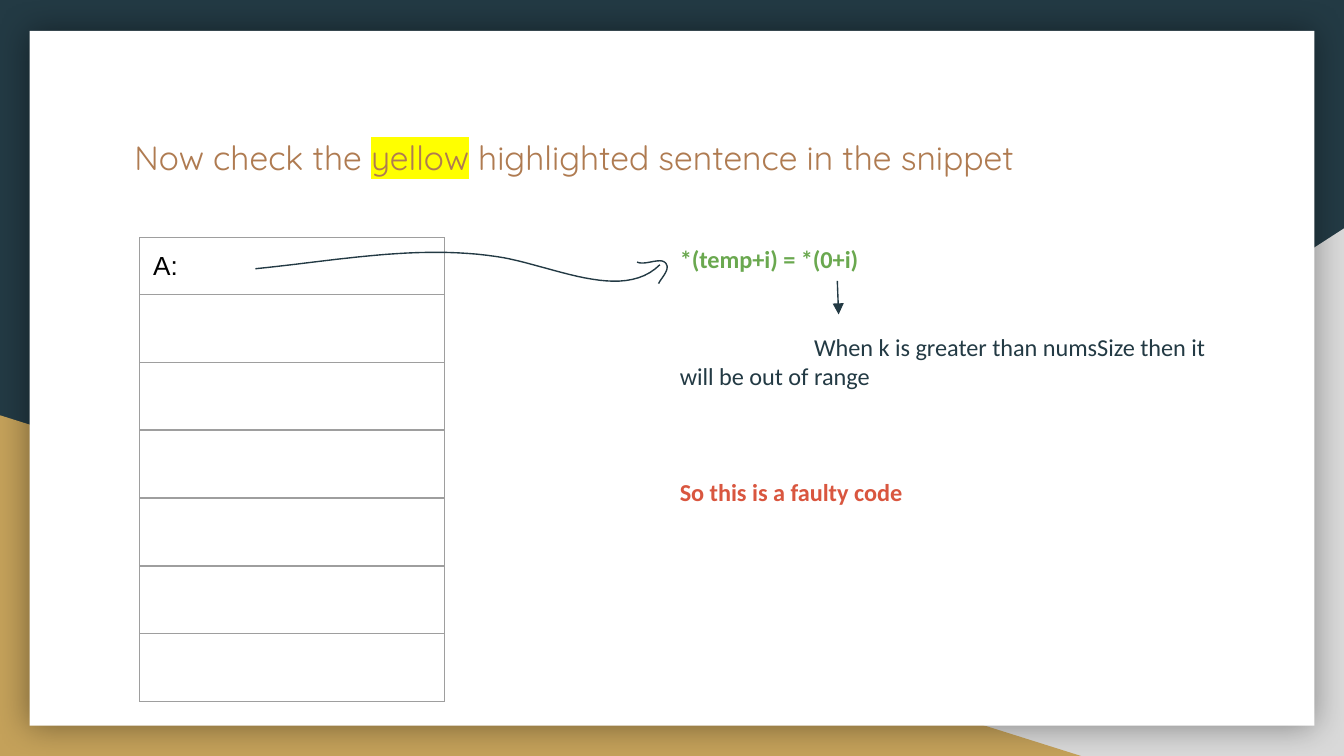
from dataclasses import dataclass

from lxml.etree import SubElement
from pptx import Presentation
from pptx.dml.color import RGBColor
from pptx.enum.shapes import MSO_CONNECTOR, MSO_SHAPE
from pptx.enum.text import MSO_ANCHOR, MSO_AUTO_SIZE, PP_ALIGN
from pptx.oxml import parse_xml
from pptx.oxml.ns import nsdecls, qn
from pptx.util import Inches, Pt

NAVY = RGBColor(0x23, 0x3A, 0x44)
GREY = RGBColor(0xD9, 0xD9, 0xD9)
GOLD = RGBColor(0xC4, 0xA1, 0x5A)
WHITE = RGBColor(0xFF, 0xFF, 0xFF)
BLACK = RGBColor(0, 0, 0)
BROWN = RGBColor(0xAF, 0x7B, 0x51)
GREEN = RGBColor(0x6A, 0xA8, 0x4F)
RED = RGBColor(0xD9, 0x56, 0x3F)
LINE_W = Pt(0.75)
INSET = Inches(0.1)
CURVE_STEPS = 24

Point = tuple[float, float]


@dataclass
class Panel:
    shape: MSO_SHAPE
    box: tuple[float, float, float, float]
    color: RGBColor
    flip: bool = False
    shadow: bool = False


@dataclass
class Note:
    text: str
    color: RGBColor
    bold: bool = False
    indent: float = 0
    lines_before: int = 0


PANELS = [
    Panel(MSO_SHAPE.RIGHT_TRIANGLE, (3.92, 1.7, 6.08, 3.93), GREY, flip=True),
    Panel(MSO_SHAPE.RIGHT_TRIANGLE, (0, 3.09, 8.06, 2.54), GOLD),
    Panel(MSO_SHAPE.RECTANGLE, (0.22, 0.23, 9.56, 5.17), WHITE, shadow=True),
]
NOTES = [
    Note("*(temp+i) = *(0+i)", GREEN, bold=True),
    Note("When k is greater than numsSize then it will be out of range", NAVY,
         indent=1, lines_before=2),
    Note("So this is a faulty code", RED, bold=True, lines_before=3),
]
# Each curve is a start point followed by control, control, end triples
CURVES: list[list[Point]] = [
    [(1.9, 2), (2.5, 1.94), (3.11, 1.82), (3.7, 1.91),
     (4.1, 1.97), (4.63, 2.25), (4.91, 1.97)],
    [(4.74, 1.95), (4.81, 1.98), (4.93, 1.9), (4.96, 1.97),
     (4.98, 2.01), (4.92, 2.07), (4.9, 2.11)],
]


def add_panel(s, panel: Panel) -> None:
    sp = s.shapes.add_shape(panel.shape, *map(Inches, panel.box))
    sp.shadow.inherit = False
    sp.fill.solid()
    sp.fill.fore_color.rgb = panel.color
    sp.line.fill.background()
    if panel.flip:
        sp._element.spPr.find(qn("a:xfrm")).set("flipH", "1")
    if panel.shadow:
        effects = sp._element.spPr.find(qn("a:effectLst"))
        effects.append(parse_xml(
            f'<a:outerShdw {nsdecls("a")} blurRad="{Pt(18)}" dist="0" dir="0" '
            'algn="ctr" rotWithShape="0"><a:srgbClr val="000000">'
            '<a:alpha val="40000"/></a:srgbClr></a:outerShdw>'))


def set_margins(target) -> None:
    target.margin_left = target.margin_right = INSET
    target.margin_top = target.margin_bottom = INSET


def set_frame(tf) -> None:
    tf.word_wrap = True
    tf.auto_size = MSO_AUTO_SIZE.NONE
    tf.vertical_anchor = MSO_ANCHOR.TOP
    set_margins(tf)


def add_run(p, text: str, font: str, size: float, color: RGBColor, bold: bool = False):
    r = p.add_run()
    r.text = text
    r.font.name, r.font.size, r.font.bold = font, Pt(size), bold
    r.font.color.rgb = color
    return r


def highlight(r, color: str) -> None:
    r.font._element.find(qn("a:solidFill")).addnext(parse_xml(
        f'<a:highlight {nsdecls("a")}><a:srgbClr val="{color}"/></a:highlight>'))


def set_borders(cell, color: str) -> None:
    tc_pr = cell._tc.get_or_add_tcPr()
    for i, side in enumerate(("lnL", "lnR", "lnT", "lnB")):
        tc_pr.insert(i, parse_xml(
            f'<a:{side} {nsdecls("a")} w="{LINE_W}"><a:solidFill>'
            f'<a:srgbClr val="{color}"/></a:solidFill></a:{side}>'))


def bezier(a: Point, b: Point, c: Point, d: Point) -> list[Point]:
    points = []
    for i in range(1, CURVE_STEPS + 1):
        t = i / CURVE_STEPS
        u = 1 - t
        points.append(tuple(
            Inches(u**3 * w + 3 * u * u * t * x + 3 * u * t * t * y + t**3 * z)
            for w, x, y, z in zip(a, b, c, d)))
    return points


def add_curve(s, knots: list[Point]) -> None:
    builder = s.shapes.build_freeform(*map(Inches, knots[0]))
    for i in range(0, len(knots) - 1, 3):
        builder.add_line_segments(bezier(*knots[i:i + 4]), close=False)
    sp = builder.convert_to_shape()
    sp.shadow.inherit = False
    sp.fill.background()
    sp.line.color.rgb = NAVY
    sp.line.width = LINE_W


def add_arrow(s, start: Point, end: Point) -> None:
    line = s.shapes.add_connector(MSO_CONNECTOR.STRAIGHT, *map(Inches, start + end))
    line.line.color.rgb = NAVY
    line.line.width = LINE_W
    SubElement(line.line._get_or_add_ln(), qn("a:tailEnd"), type="triangle")
    SubElement(line._element.spPr, qn("a:effectLst"))


def add_array(s) -> None:
    rows, height = 7, 0.36
    table = s.shapes.add_table(rows, 1, Inches(1.04), Inches(1.77),
                               Inches(2.27), Inches(rows * height)).table
    table.first_row = table.horz_banding = False
    for row in table.rows:
        row.height = Inches(height)
        cell = row.cells[0]
        cell.fill.background()
        set_margins(cell)
        set_borders(cell, "9E9E9E")
    add_run(table.cell(0, 0).text_frame.paragraphs[0], "A:", "Arial", 14, BLACK)


def add_notes(s) -> None:
    size = 13
    tf = s.shapes.add_textbox(Inches(4.96), Inches(1.72), Inches(4.14), Inches(2.94)).text_frame
    set_frame(tf)
    for i, note in enumerate(NOTES):
        p = tf.add_paragraph() if i else tf.paragraphs[0]
        p.space_before = Pt(note.lines_before * size * 1.2)
        if note.indent:
            p._p.get_or_add_pPr().set("indent", str(Inches(note.indent)))
        add_run(p, note.text, "Calibri", size, note.color, note.bold)


def add_title(s) -> None:
    title = s.shapes.title
    s.shapes._spTree.append(title._element)  # in front of the panels
    title.left, title.top, title.width, title.height = map(Inches, (0.9, 0.92, 8.21, 0.4))
    set_frame(title.text_frame)
    p = title.text_frame.paragraphs[0]
    p.alignment = PP_ALIGN.LEFT
    for text in ("Now check the ", "yellow", " highlighted sentence in the snippet"):
        r = add_run(p, text, "Quicksand", 18, BROWN)
        if text == "yellow":
            highlight(r, "FFFF00")


def main() -> None:
    prs = Presentation()
    prs.slide_width = Inches(10)
    prs.slide_height = prs.slide_width * 9 // 16
    s = prs.slides.add_slide(prs.slide_layouts[5])

    # Backdrop
    s.background.fill.solid()
    s.background.fill.fore_color.rgb = NAVY
    for panel in PANELS:
        add_panel(s, panel)

    # Title, array and explanation
    add_title(s)
    add_array(s)
    for knots in CURVES:
        add_curve(s, knots)
    add_notes(s)
    add_arrow(s, (6.23, 2.09), (6.24, 2.34))

    prs.save("out.pptx")


if __name__ == "__main__":
    main()
